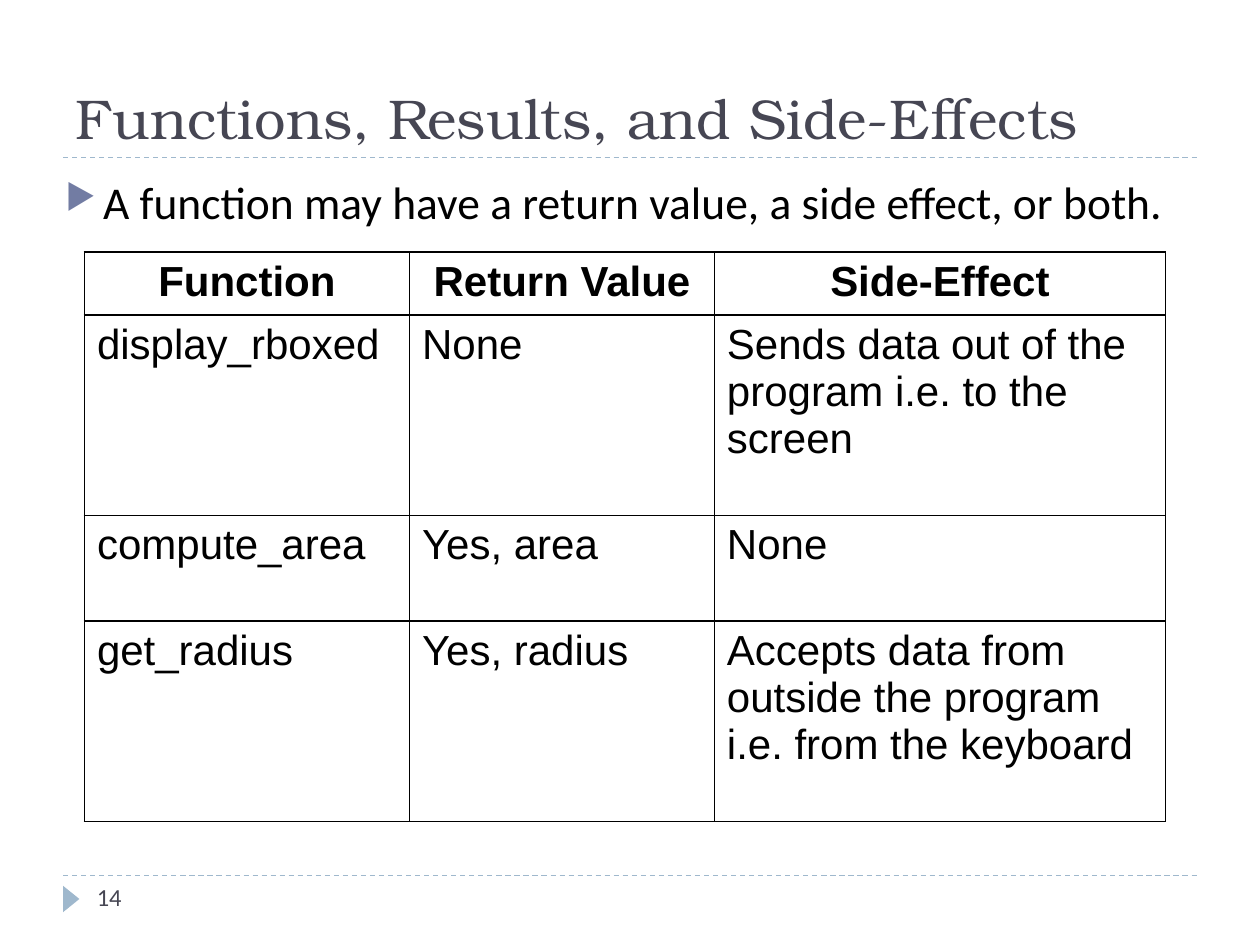
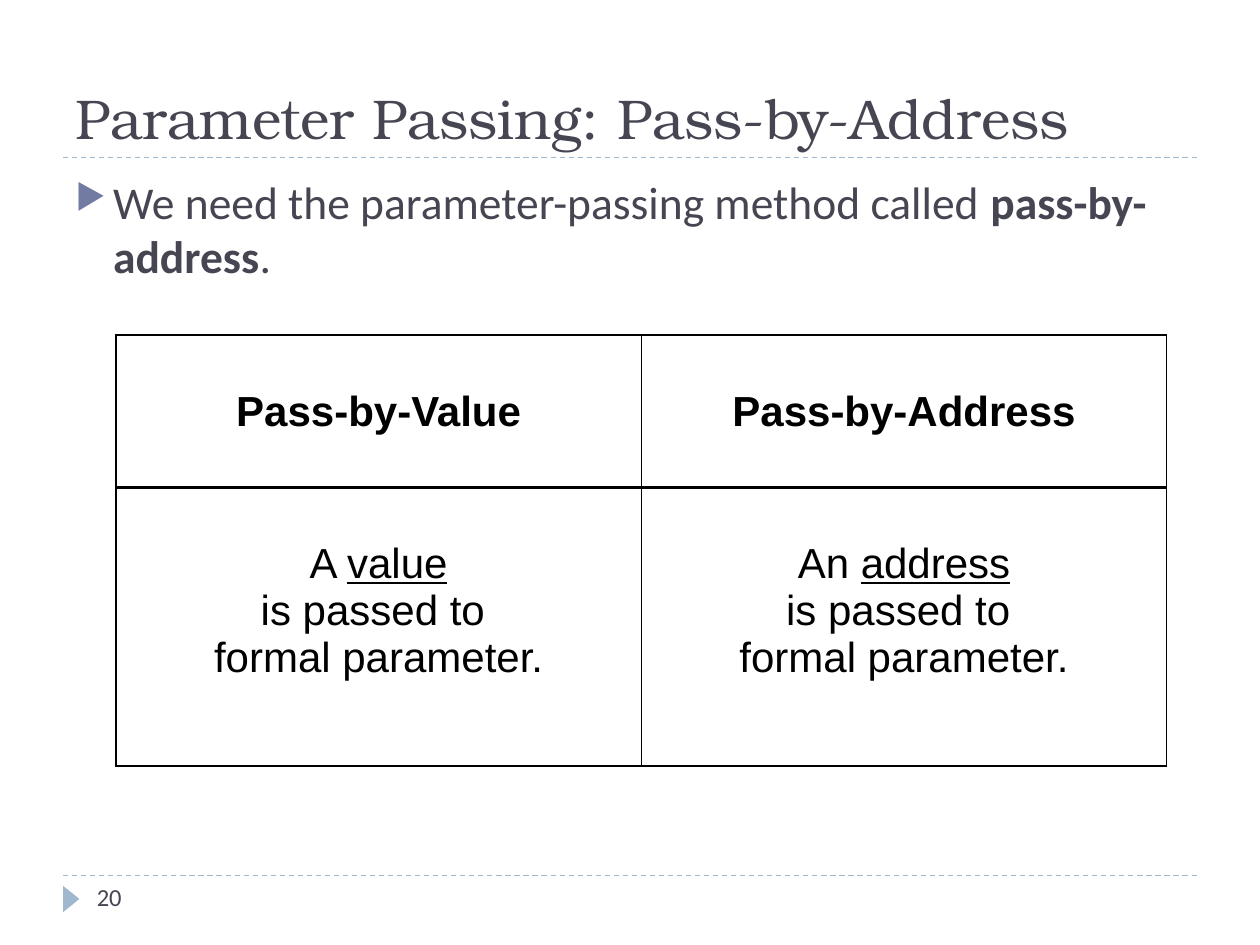
from dataclasses import dataclass
from typing import Any, NamedTuple

from lxml.etree import SubElement
from pptx import Presentation
from pptx.dml.color import RGBColor
from pptx.enum.dml import MSO_LINE
from pptx.enum.shapes import MSO_CONNECTOR, MSO_SHAPE
from pptx.enum.text import MSO_ANCHOR, MSO_AUTO_SIZE, PP_ALIGN
from pptx.oxml.ns import qn
from pptx.util import Inches, Pt

BLACK = RGBColor(0x00, 0x00, 0x00)
SLATE = RGBColor(0x46, 0x46, 0x53)
RULE_BLUE = RGBColor(0x9F, 0xB8, 0xCD)
BULLET_BLUE = RGBColor(0x72, 0x7C, 0xA3)

TITLE_FONT = {"name": "TeX Gyre Bonum", "size": Pt(32)}
BODY_FONT = {"name": "Calibri", "size": Pt(26)}
NUMBER_FONT = {"name": "Calibri", "size": Pt(14)}
TABLE_FONT = {"name": "Arial", "size": Pt(24)}
RULE_HEIGHTS = (6.95, 1.25)
TITLE_ONLY = 5


class Run(NamedTuple):
    text: str
    bold: bool = False
    underline: bool = False


Line = list[Run]
Cell = list[Line]


class Box(NamedTuple):
    left: float
    top: float
    width: float
    height: float

    def lengths(self) -> list[int]:
        return [Inches(length) for length in self]


@dataclass
class TableSpec:
    left: float
    top: float
    columns: list[float]
    rows: list[float]
    cells: list[list[Cell]]
    body_alignment: PP_ALIGN = PP_ALIGN.LEFT
    margin_top: float = 0.05
    header_rule: float = 1


@dataclass
class SlideSpec:
    title: str
    number: int
    bullet: Line
    bullet_left: float
    bullet_color: RGBColor
    table: TableSpec


def set_attributes(target: Any, formats: dict[str, Any]) -> None:
    for name, value in formats.items():
        setattr(target, name, value)


def write_line(paragraph: Any, line: Line, font: dict[str, Any], color: RGBColor) -> None:
    for part in line:
        run = paragraph.add_run()
        run.text = part.text
        set_attributes(run.font, font | {"bold": part.bold, "underline": part.underline})
        run.font.color.rgb = color


def add_text_box(slide: Any, box: Box, line: Line, font: dict[str, Any], color: RGBColor) -> Any:
    frame = slide.shapes.add_textbox(*box.lengths()).text_frame
    frame.word_wrap = True
    paragraph = frame.paragraphs[0]
    write_line(paragraph, line, font, color)
    return paragraph


def add_bullet(paragraph: Any) -> None:
    properties = paragraph._p.get_or_add_pPr()
    properties.set("marL", str(Inches(0.3)))
    properties.set("indent", str(-Inches(0.3)))
    bullet_color = SubElement(properties, qn("a:buClr"))
    SubElement(bullet_color, qn("a:srgbClr"), val=str(BULLET_BLUE))
    SubElement(properties, qn("a:buSzPct"), val="76000")
    SubElement(properties, qn("a:buChar"), char="▶")


def add_rule(slide: Any, top: float) -> None:
    ends = [Inches(length) for length in (0.5, top, 9.5, top)]
    rule = slide.shapes.add_connector(MSO_CONNECTOR.STRAIGHT, *ends)
    set_attributes(rule.line, {"width": Pt(0.75), "dash_style": MSO_LINE.DASH})
    rule.line.color.rgb = RULE_BLUE
    SubElement(rule._element.spPr, qn("a:effectLst"))


def add_frame(slide: Any, number: int) -> None:
    for top in RULE_HEIGHTS:
        add_rule(slide, top)
    marker = slide.shapes.add_shape(
        MSO_SHAPE.ISOSCELES_TRIANGLE, *Box(0.46, 7.07, 0.21, 0.13).lengths()
    )
    marker.rotation = 90
    marker.shadow.inherit = False
    marker.fill.solid()
    marker.fill.fore_color.rgb = RULE_BLUE
    marker.line.fill.background()
    add_text_box(slide, Box(0.67, 6.95, 2.17, 0.4), [Run(str(number))], NUMBER_FONT, SLATE)


def format_title(title: Any, text: str) -> None:
    box = Box(0.5, 0.17, 9, 1.08)
    set_attributes(title, dict(zip(box._fields, box.lengths())))
    frame = title.text_frame
    set_attributes(
        frame,
        {"word_wrap": True, "auto_size": MSO_AUTO_SIZE.NONE, "vertical_anchor": MSO_ANCHOR.BOTTOM},
    )
    frame.paragraphs[0].alignment = PP_ALIGN.LEFT
    write_line(frame.paragraphs[0], [Run(text)], TITLE_FONT, SLATE)


def set_borders(cell: Any, widths: dict[str, float]) -> None:
    properties = cell._tc.get_or_add_tcPr()
    for side, width in widths.items():
        border = SubElement(properties, qn(f"a:ln{side}"), w=str(Pt(width)))
        fill = SubElement(border, qn("a:solidFill"))
        SubElement(fill, qn("a:srgbClr"), val=str(BLACK))


def fill_cell(cell: Any, lines: Cell, alignment: PP_ALIGN) -> None:
    frame = cell.text_frame
    for index, line in enumerate(lines):
        paragraph = frame.add_paragraph() if index else frame.paragraphs[0]
        paragraph.alignment = alignment
        write_line(paragraph, line, TABLE_FONT, BLACK)


def add_grid(slide: Any, spec: TableSpec) -> None:
    box = Box(spec.left, spec.top, sum(spec.columns), sum(spec.rows))
    table = slide.shapes.add_table(len(spec.rows), len(spec.columns), *box.lengths()).table
    set_attributes(table, {"first_row": False, "horz_banding": False})
    for column, width in zip(table.columns, spec.columns):
        column.width = Inches(width)
    for row_index, (row, height) in enumerate(zip(table.rows, spec.rows)):
        row.height = Inches(height)
        alignment = spec.body_alignment if row_index else PP_ALIGN.CENTER
        widths = {
            "L": 1,
            "R": 1,
            "T": spec.header_rule if row_index == 1 else 1,
            "B": spec.header_rule if row_index == 0 else 1,
        }
        for cell, lines in zip(row.cells, spec.cells[row_index]):
            cell.margin_top = Inches(spec.margin_top)
            set_borders(cell, widths)
            cell.fill.background()
            fill_cell(cell, lines, alignment)


def text_row(*texts: str, bold: bool = False) -> list[Cell]:
    return [[[Run(text, bold)]] for text in texts]


def passing_cell(article: str, passed: str) -> Cell:
    return [
        [Run(f"{article} "), Run(passed, underline=True)],
        [Run("is passed to ")],
        [Run("formal parameter.")],
    ]


SLIDES = [
    SlideSpec(
        title="Functions, Results, and Side-Effects",
        number=14,
        bullet=[Run("A function may have a return value, a side effect, or both.")],
        bullet_left=0.42,
        bullet_color=BLACK,
        table=TableSpec(
            left=0.67,
            top=2,
            columns=[2.58, 2.42, 3.58],
            rows=[0.47, 1.59, 0.84, 1.59],
            cells=[
                text_row("Function", "Return Value", "Side-Effect", bold=True),
                text_row(
                    "display_rboxed", "None", "Sends data out of the program i.e. to the screen"
                ),
                text_row("compute_area", "Yes, area", "None"),
                text_row(
                    "get_radius",
                    "Yes, radius",
                    "Accepts data from outside the program i.e. from the keyboard",
                ),
            ],
        ),
    ),
    SlideSpec(
        title="Parameter Passing: Pass-by-Address",
        number=20,
        bullet=[
            Run("We need the parameter-passing method called "),
            Run("pass-by-address", bold=True),
            Run("."),
        ],
        bullet_left=0.5,
        bullet_color=SLATE,
        table=TableSpec(
            left=0.92,
            top=2.66,
            columns=[4.17, 4.17],
            rows=[1.21, 2.21],
            cells=[
                text_row("Pass-by-Value", "Pass-by-Address", bold=True),
                [passing_cell("A", "value"), passing_cell("An", "address")],
            ],
            body_alignment=PP_ALIGN.CENTER,
            margin_top=0.42,
            header_rule=2,
        ),
    ),
]


def build_slide(presentation: Any, spec: SlideSpec) -> None:
    slide = presentation.slides.add_slide(presentation.slide_layouts[TITLE_ONLY])
    add_frame(slide, spec.number)
    format_title(slide.shapes.title, spec.title)
    bullet_box = Box(spec.bullet_left, 1.33, 9.17, 0.75)
    add_bullet(add_text_box(slide, bullet_box, spec.bullet, BODY_FONT, spec.bullet_color))
    add_grid(slide, spec.table)


def main() -> None:
    presentation = Presentation()
    set_attributes(presentation, {"slide_width": Inches(10), "slide_height": Inches(7.5)})
    for spec in SLIDES:
        build_slide(presentation, spec)
    presentation.save("out.pptx")


if __name__ == "__main__":
    main()
